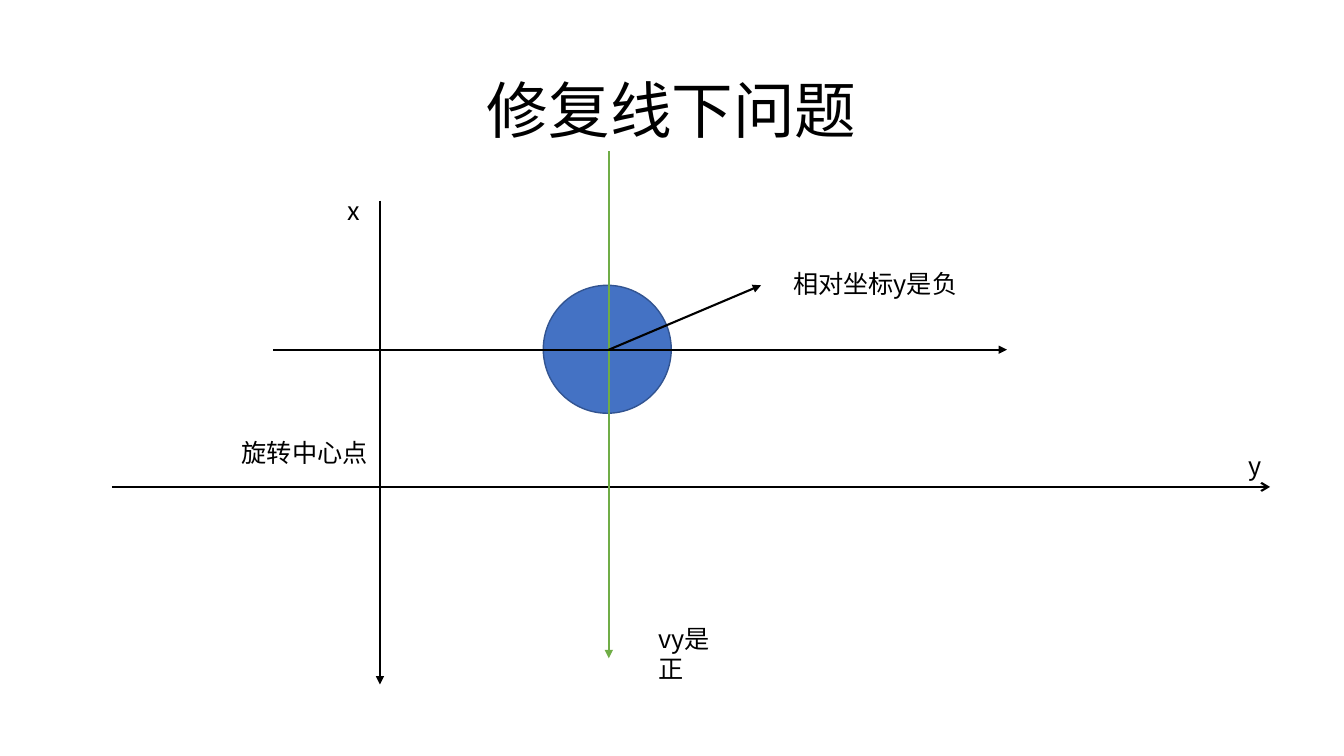
from pptx import Presentation
from pptx.dml.color import RGBColor
from pptx.enum.shapes import MSO_CONNECTOR, MSO_SHAPE
from pptx.enum.text import MSO_ANCHOR, PP_ALIGN
from pptx.oxml.ns import qn
from pptx.util import Pt
from lxml import etree

STRAIGHT = MSO_CONNECTOR.STRAIGHT
OVAL = MSO_SHAPE.OVAL
TOP, MIDDLE = MSO_ANCHOR.TOP, MSO_ANCHOR.MIDDLE
LEFT, CENTER = PP_ALIGN.LEFT, PP_ALIGN.CENTER

FONT = "Noto Sans CJK SC"
COLORS = {"ink": "000000", "ball": "4472C4", "ball_edge": "325491", "velocity": "70AD47"}
LABEL_HEIGHT = 28.8


def color(name):
    return RGBColor.from_string(COLORS[name])


def add_text(page, text, box, size=18, align=LEFT, anchor=TOP, spacing=1.0):
    shape = page.shapes.add_textbox(*map(Pt, box))
    frame = shape.text_frame
    frame.word_wrap = True
    frame.vertical_anchor = anchor
    para = frame.paragraphs[0]
    para.alignment = align
    para.line_spacing = spacing
    span = para.add_run()
    span.text = text
    span.font.size = Pt(size)
    span.font.name = FONT
    span.font.color.rgb = color("ink")
    # East Asian characters take their own typeface entry
    etree.SubElement(span.font._element, qn("a:ea")).set("typeface", FONT)


def add_arrow(page, start, end, line="ink", head="triangle"):
    arrow = page.shapes.add_connector(STRAIGHT, *map(Pt, (*start, *end)))
    arrow.line.color.rgb = color(line)
    arrow.line.width = Pt(1.5)
    etree.SubElement(arrow.line._get_or_add_ln(), qn("a:tailEnd")).set("type", head)
    etree.SubElement(arrow._element.spPr, qn("a:effectLst"))


def add_ball(page, left, top, size):
    ball = page.shapes.add_shape(OVAL, *map(Pt, (left, top, size, size)))
    ball.shadow.inherit = False
    ball.fill.solid()
    ball.fill.fore_color.rgb = color("ball")
    ball.line.color.rgb = color("ball_edge")
    ball.line.width = Pt(1)


def add_diagram(page, box):
    left, top, width, height = box
    axis_x, axis_y = left + 191.4, top + 239.8
    center_x, center_y = left + 354.9, top + 141.8

    # Horizontal axis, ball and its velocity
    add_arrow(page, (left, axis_y), (left + width, axis_y), head="arrow")
    add_ball(page, center_x - 46.8, center_y - 46, 91.4)
    add_arrow(page, (center_x, top), (center_x, top + 362.2), line="velocity")

    # Vertical axis, then the ball's own axis and relative position
    add_arrow(page, (axis_x, top + 35.3), (axis_x, top + height))
    add_arrow(page, (left + 115.1, center_y), (left + 639.3, center_y))
    add_arrow(page, (center_x, center_y), (center_x + 108.7, center_y - 46))

    # Labels: text, offset from the diagram's corner, width
    labels = [
        ("vy是正", 383, 333.4, 67.7),
        ("相对坐标y是负", 479.4, 79.9, 131.8),
        ("旋转中心点", 85.6, 200.9, 106),
        ("y", 804.9, 210.2, 23),
        ("x", 161.2, 28.1, 22.3),
    ]
    for text, across, down, label_width in labels:
        add_text(page, text, (left + across, top + down, label_width, LABEL_HEIGHT))


def main():
    deck = Presentation()
    deck.slide_width, deck.slide_height = Pt(960), Pt(540)
    page = deck.slides.add_slide(deck.slide_layouts[6])
    add_text(page, "修复线下问题", (66, 28.8, 828, 104.4),
             size=44, align=CENTER, anchor=MIDDLE, spacing=0.9)
    add_diagram(page, (80, 108, 827.2, 380.9))
    deck.save("out.pptx")


if __name__ == "__main__":
    main()
